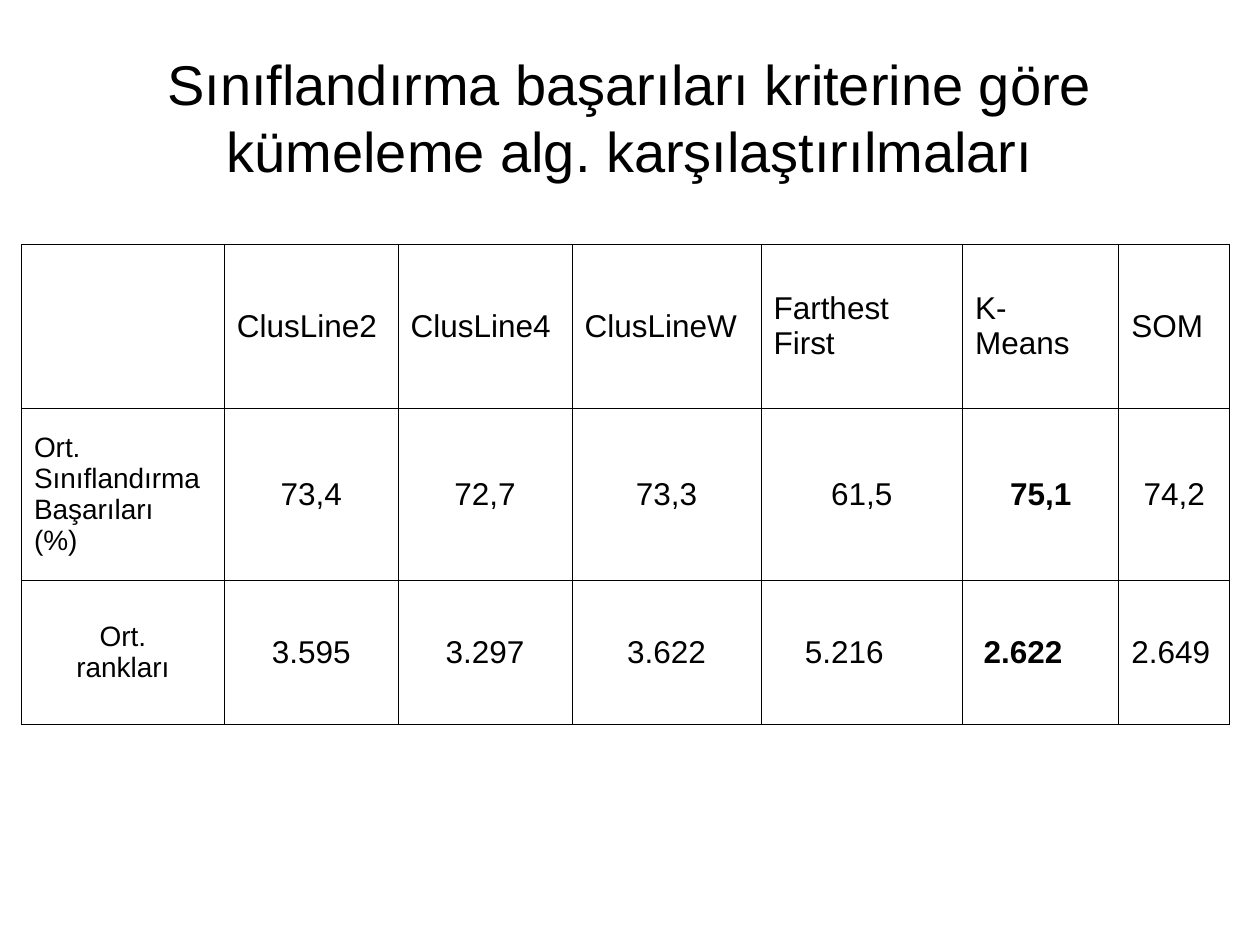
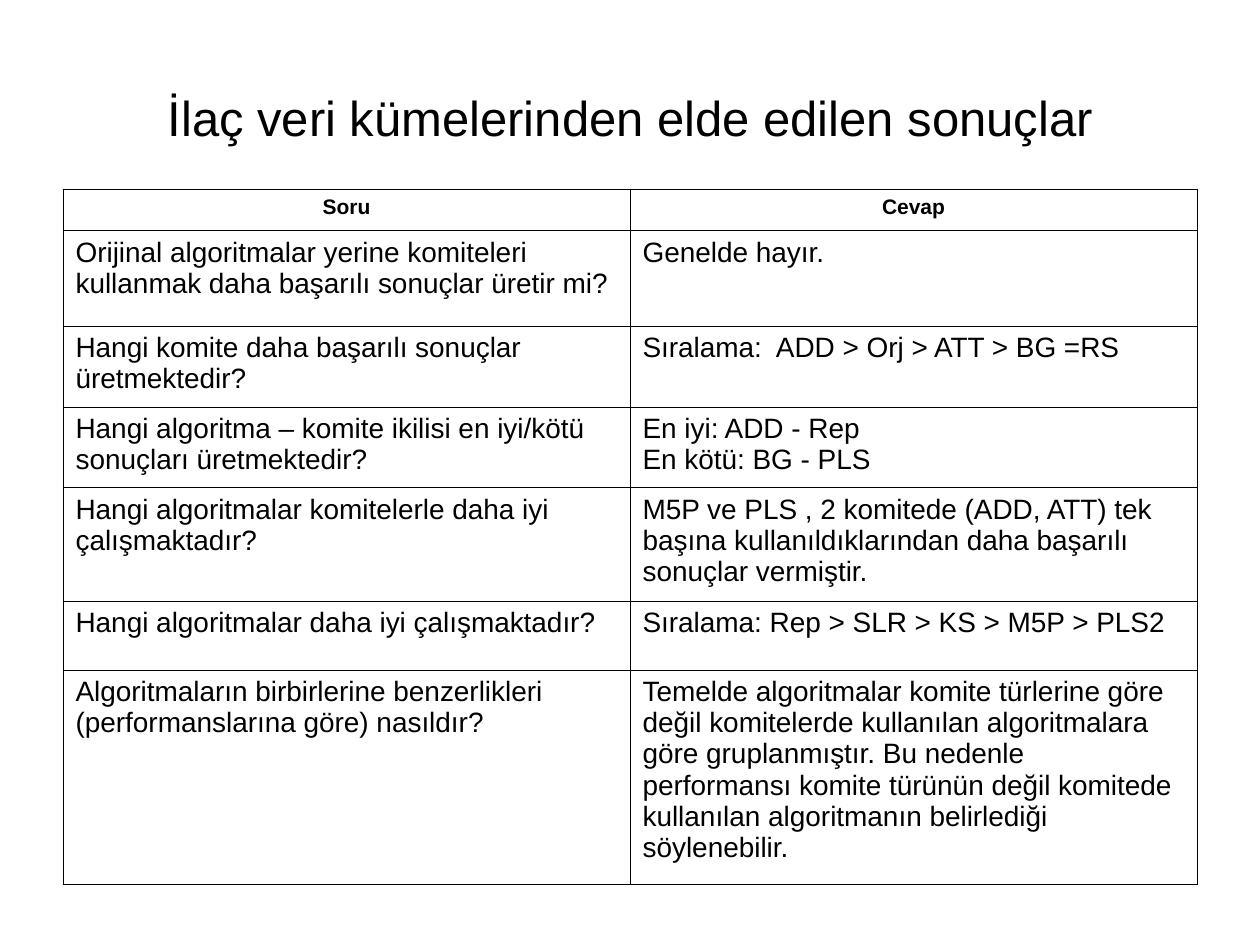
from dataclasses import dataclass

from lxml.etree import SubElement
from pptx import Presentation
from pptx.dml.color import RGBColor
from pptx.enum.text import MSO_ANCHOR, PP_ALIGN
from pptx.oxml.ns import qn
from pptx.util import Inches, Pt

INK = RGBColor(0, 0, 0)
FONT = "Arial"
HANGING = Inches(0.38)
BORDER = Pt(0.45)
TITLE_ONLY = 5


@dataclass
class Entry:
    text: str
    size: int
    align: PP_ALIGN = PP_ALIGN.LEFT
    bold: bool = False
    right_inset: float = 0.1


class Deck:
    def __init__(self):
        self.prs = Presentation()
        self.prs.slide_width = Inches(10)
        self.prs.slide_height = Inches(7.5)
        self.slide = None

    def add_slide(self, heading, size):
        self.slide = self.prs.slides.add_slide(self.prs.slide_layouts[TITLE_ONLY])
        title = self.slide.shapes.title
        title.left, title.top = Inches(0.5), Inches(0.3)
        title.width, title.height = Inches(9), Inches(1.25)
        title.text_frame.text = heading
        title.text_frame.vertical_anchor = MSO_ANCHOR.MIDDLE
        self.style(title.text_frame.paragraphs[0], size, PP_ALIGN.CENTER)

    def style(self, paragraph, size, align, bold=False):
        paragraph.alignment = align
        for run in paragraph.runs:
            run.font.name = FONT
            run.font.size = Pt(size)
            run.font.bold = bold
            run.font.color.rgb = INK

    def add_table(self, left, top, widths, heights, entries, anchor):
        frame = self.slide.shapes.add_table(
            len(heights), len(widths), Inches(left), Inches(top),
            Inches(sum(widths)), Inches(sum(heights)))
        table = frame.table
        table.first_row = table.horz_banding = False
        for column, width in zip(table.columns, widths):
            column.width = Inches(width)
        for row, height in zip(table.rows, heights):
            row.height = Inches(height)
        for r, row_entries in enumerate(entries):
            for c, entry in enumerate(row_entries):
                self.fill_cell(table.cell(r, c), entry, anchor)

    def fill_cell(self, cell, entry, anchor):
        cell.vertical_anchor = anchor
        cell.margin_left = Inches(0.1)
        cell.margin_right = Inches(entry.right_inset)
        cell.margin_top = cell.margin_bottom = Inches(0.05)
        self.outline(cell)
        cell.fill.background()
        cell.text_frame.text = entry.text
        for paragraph in cell.text_frame.paragraphs:
            properties = paragraph._p.get_or_add_pPr()
            properties.set("marL", str(HANGING))
            properties.set("indent", str(-HANGING))
            self.style(paragraph, entry.size, entry.align, entry.bold)

    def outline(self, cell):
        properties = cell._tc.get_or_add_tcPr()
        for side in ("a:lnL", "a:lnR", "a:lnT", "a:lnB"):
            line = SubElement(properties, qn(side), w=str(BORDER))
            fill = SubElement(line, qn("a:solidFill"))
            SubElement(fill, qn("a:srgbClr"), val=str(INK))


def centred_figures(figures, best):
    return [Entry(figure, 18, PP_ALIGN.CENTER, figure == best) for figure in figures]


def add_clustering_slide(deck):
    deck.add_slide("Sınıflandırma başarıları kriterine göre "
                   "kümeleme alg. karşılaştırılmaları", 32)
    algorithms = ["", "ClusLine2", "ClusLine4", "ClusLineW",
                  "Farthest\nFirst", "K-\nMeans", "SOM"]
    accuracies = centred_figures(
        ["73,4", "72,7", "73,3", "61,5", "75,1", "74,2"], best="75,1")
    ranks = centred_figures(
        ["3.595", "3.297", "3.622", "5.216", "2.622", "2.649"], best="2.622")
    for shifted in ranks[3:5]:
        shifted.right_inset = 0.38
    ranks[-1].align = PP_ALIGN.JUSTIFY
    entries = [
        [Entry(name, 18) for name in algorithms],
        [Entry("Ort.\nSınıflandırma\nBaşarıları\n(%)", 16)] + accuracies,
        [Entry("Ort.\nrankları", 16, PP_ALIGN.CENTER)] + ranks,
    ]
    deck.add_table(0.17, 1.94, [1.61, 1.38, 1.38, 1.5, 1.6, 1.24, 0.88],
                   [1.3, 1.37, 1.14], entries, MSO_ANCHOR.MIDDLE)


def add_findings_slide(deck):
    deck.add_slide("İlaç veri kümelerinden elde edilen sonuçlar", 28)
    findings = [
        ("Orijinal algoritmalar yerine komiteleri\n"
         "kullanmak daha başarılı sonuçlar üretir mi?",
         "Genelde hayır."),
        ("Hangi komite daha başarılı sonuçlar\nüretmektedir?",
         "Sıralama:  ADD > Orj > ATT > BG =RS"),
        ("Hangi algoritma – komite ikilisi en iyi/kötü\nsonuçları üretmektedir?",
         "En iyi: ADD - Rep\nEn kötü: BG - PLS"),
        ("Hangi algoritmalar komitelerle daha iyi\nçalışmaktadır?",
         "M5P ve PLS , 2 komitede (ADD, ATT) tek\n"
         "başına kullanıldıklarından daha başarılı\n"
         "sonuçlar vermiştir."),
        ("Hangi algoritmalar daha iyi çalışmaktadır?",
         "Sıralama: Rep > SLR > KS > M5P > PLS2"),
        ("Algoritmaların birbirlerine benzerlikleri\n"
         "(performanslarına göre) nasıldır?",
         "Temelde algoritmalar komite türlerine göre\n"
         "değil komitelerde kullanılan algoritmalara\n"
         "göre gruplanmıştır. Bu nedenle\n"
         "performansı komite türünün değil komitede\n"
         "kullanılan algoritmanın belirlediği\n"
         "söylenebilir."),
    ]
    entries = [[Entry(label, 12, PP_ALIGN.CENTER, True) for label in ("Soru", "Cevap")]]
    entries += [[Entry(text, 16) for text in finding] for finding in findings]
    deck.add_table(0.5, 1.5, [4.5, 4.5], [0.33, 0.76, 0.64, 0.64, 0.9, 0.55, 1.7],
                   entries, MSO_ANCHOR.TOP)


def main():
    deck = Deck()
    add_clustering_slide(deck)
    add_findings_slide(deck)
    deck.prs.save("out.pptx")


if __name__ == "__main__":
    main()
